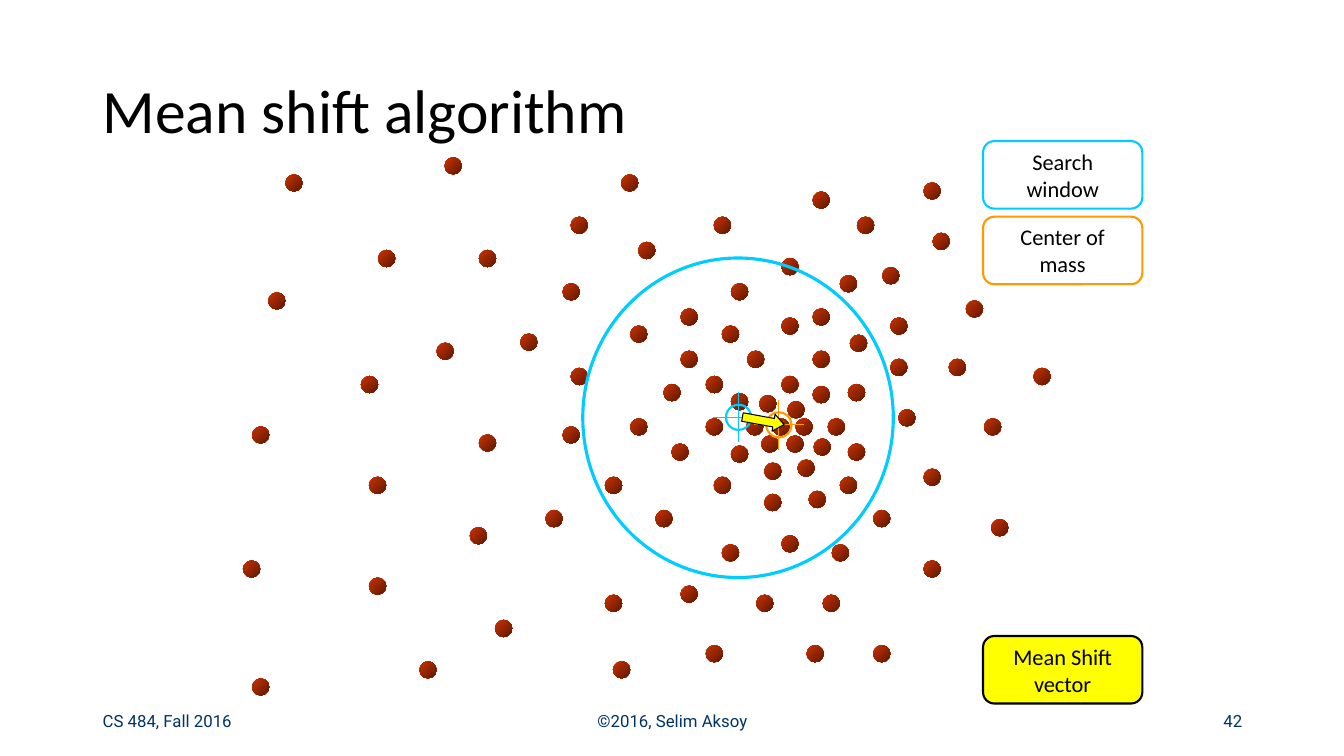
"""Builds the mean shift slide: sample points, search window and shift vector."""
from lxml.etree import SubElement
from pptx import Presentation
from pptx.dml.color import RGBColor
from pptx.enum.shapes import MSO_CONNECTOR, MSO_SHAPE
from pptx.enum.text import MSO_ANCHOR, PP_ALIGN
from pptx.oxml.ns import qn
from pptx.util import Cm, Pt

HUES = {"ink": "000000", "navy": "003366", "cyan": "00CCFF", "gold": "FF9900",
        "sun": "FFFF00", "red": "CC3300", "dark": "5E1800"}
DOT = 0.17
ROWS = {
    1.56: [4.41], 1.73: [2.83, 6.16], 1.81: [9.16], 1.9: [8.06],
    2.15: [5.66, 7.08, 8.5], 2.31: [9.25], 2.4: [6.33], 2.48: [3.75, 4.75],
    2.56: [7.75], 2.65: [8.75], 2.73: [8.33], 2.81: [5.58, 7.25],
    2.9: [2.66], 2.98: [9.58], 3.06: [6.75, 8.06], 3.15: [7.75, 8.83],
    3.23: [6.25, 7.16], 3.31: [5.16], 3.32: [8.43], 3.4: [4.33],
    3.48: [6.75, 7.41, 8.06], 3.56: [8.83, 9.41], 3.65: [5.66, 10.25],
    3.73: [3.58, 7, 7.75], 3.81: [6.58, 8.41], 3.83: [8.06], 3.9: [7.25],
    3.92: [7.53], 3.98: [7.81], 4.06: [8.91],
    4.15: [6.25, 7, 7.4, 7.66, 7.89, 8.21, 9.76], 4.23: [2.5, 5.58],
    4.31: [4.75], 4.32: [7.55, 7.8], 4.35: [8.07], 4.4: [6.66, 8.41],
    4.42: [7.25], 4.56: [7.91], 4.59: [7.58], 4.65: [9.16],
    4.73: [3.66, 6, 7.08, 8.33], 4.87: [8.02], 4.9: [7.58],
    5.06: [5.41, 6.5, 8.66], 5.15: [9.83], 5.23: [4.66], 5.31: [7.75],
    5.4: [7.16, 8.25], 5.56: [2.41, 9.16], 5.73: [3.66], 5.81: [6.75],
    5.9: [6, 7.5, 8.16], 6.15: [4.91], 6.4: [7, 8, 8.66],
    6.56: [4.16, 6.08], 6.73: [2.5],
}


def span(*vals):
    """Turn inch values into lengths."""
    return [Cm(val * 2.54) for val in vals]


def hue(name):
    """Look up a colour by name."""
    return RGBColor.from_string(HUES[name])


def style(item, vals):
    """Set every attribute in a dict of format values."""
    for key, val in vals.items():
        setattr(item, key, val)


def write(frame, text, font, align=PP_ALIGN.LEFT, wrap=True, lead=None):
    """Put middle-anchored text in a frame and format its paragraphs."""
    frame.text = text
    style(frame, {"word_wrap": wrap, "vertical_anchor": MSO_ANCHOR.MIDDLE})
    name, size, ink = font
    for para in frame.paragraphs:
        style(para, {"alignment": align, "line_spacing": lead})
        for run in para.runs:
            style(run.font, {"name": name, "size": Pt(size)})
            run.font.color.rgb = hue(ink)


def label(slide, box, *args, **opts):
    """Add a text box with formatted text."""
    write(slide.shapes.add_textbox(*span(*box)).text_frame, *args, **opts)


def draw(shapes, kind, box, edge=None, width=0.75, fill=None):
    """Add a flat preset shape with an optional line and fill."""
    shape = shapes.add_shape(kind, *span(*box))
    shape.shadow.inherit = False
    if fill:
        shape.fill.solid()
        shape.fill.fore_color.rgb = hue(fill)
    else:
        shape.fill.background()
    if edge:
        shape.line.color.rgb = hue(edge)
        shape.line.width = Pt(width)
    else:
        shape.line.fill.background()
    return shape


def stroke(shapes, ends, edge):
    """Add a thin straight line."""
    line = shapes.add_connector(MSO_CONNECTOR.STRAIGHT, *span(*ends))
    line.line.color.rgb = hue(edge)
    line.line.width = Pt(0.75)
    SubElement(line._element.spPr, qn("a:effectLst"))


def scatter(slide, box):
    """Place the sample points inside a box, by row."""
    left, top = box
    for y, row in ROWS.items():
        for x in row:
            spot = (left + x, top + y, DOT, DOT)
            dot = draw(slide.shapes, MSO_SHAPE.OVAL, spot)
            dot.fill.gradient()
            dot.fill.gradient_angle = 315
            for stop, name in zip(dot.fill.gradient_stops, ("red", "dark")):
                stop.color.rgb = hue(name)


def target(shapes, box, edge):
    """Draw a ring with a cross twice its size, centred on the box."""
    left, top, size = box
    x, y = left + size / 2, top + size / 2
    draw(shapes, MSO_SHAPE.OVAL, (left, top, size, size), edge, 1.5)
    stroke(shapes, (x, y - size, x, y + size), edge)
    stroke(shapes, (x - size, y, x + size, y), edge)


def window(slide, box):
    """Draw the search window and the target at its centre."""
    left, top, wide, high = box
    shapes = slide.shapes.add_group_shape().shapes
    draw(shapes, MSO_SHAPE.OVAL, box, "cyan", 2.25)
    target(shapes, (left + wide / 2 - 0.12, top + high / 2 - 0.13, 0.25), "cyan")


def legend(slide, box):
    """Place the three captions in the column given by the box."""
    left, top, wide, high = box
    keys = [(0, "Search\vwindow", "cyan", None),
            (0.75, "Center of\nmass", "gold", None),
            (4.91, "Mean Shift\nvector", "ink", "sun")]
    for drop, text, edge, fill in keys:
        card = draw(slide.shapes, MSO_SHAPE.ROUNDED_RECTANGLE,
                    (left, top + drop, wide, high), edge, 1.5, fill)
        card.adjustments[0] = 0.167
        write(card.text_frame, text, ("Calibri", 16, "ink"),
              PP_ALIGN.CENTER, wrap=False)


def vector(slide, box):
    """Draw the mean shift arrow."""
    arrow = draw(slide.shapes, MSO_SHAPE.RIGHT_ARROW, box, "ink", fill="sun")
    arrow.rotation = 10.3
    arrow.adjustments[0] = 0.5
    arrow.adjustments[1] = 0.625


def footer(slide, box):
    """Place course, copyright and page number along the box."""
    left, top, wide, high = box
    notes = [(0, 3, "CS 484, Fall 2016", PP_ALIGN.LEFT),
             ((wide - 4.5) / 2, 4.5, "©2016, Selim Aksoy", PP_ALIGN.CENTER),
             (wide - 3, 3, "42", PP_ALIGN.RIGHT)]
    for shift, size, text, align in notes:
        label(slide, (left + shift, top, size, high), text,
              ("Roboto", 12, "navy"), align)


def main():
    """Build and save the slide."""
    deck = Presentation()
    style(deck, dict(zip(("slide_width", "slide_height"), span(13.33, 7.5))))
    slide = deck.slides.add_slide(deck.slide_layouts[6])
    label(slide, (0.92, 0.4, 11.5, 1.45), "Mean shift algorithm",
          ("Calibri", 44, "ink"), lead=0.9)
    footer(slide, (0.92, 6.95, 11.5, 0.4))
    scatter(slide, (0, 0))
    window(slide, (5.78, 2.56, 3.08, 3.17))
    legend(slide, (9.75, 1.4, 1.58, 0.67))
    target(slide.shapes.add_group_shape().shapes, (7.6, 4.09, 0.25), "gold")
    vector(slide, (7.36, 4.09, 0.42, 0.17))
    deck.save("out.pptx")


if __name__ == "__main__":
    main()
